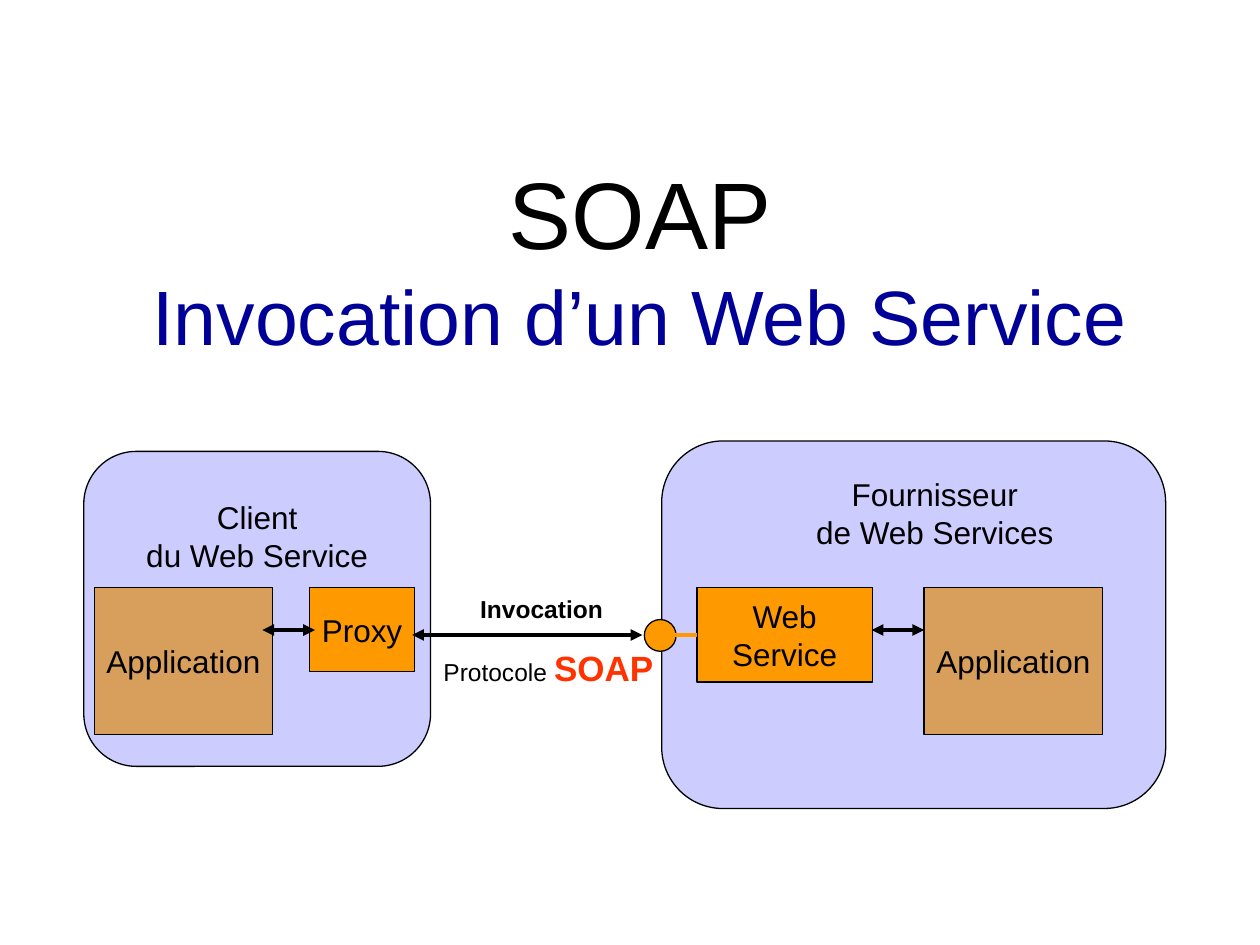
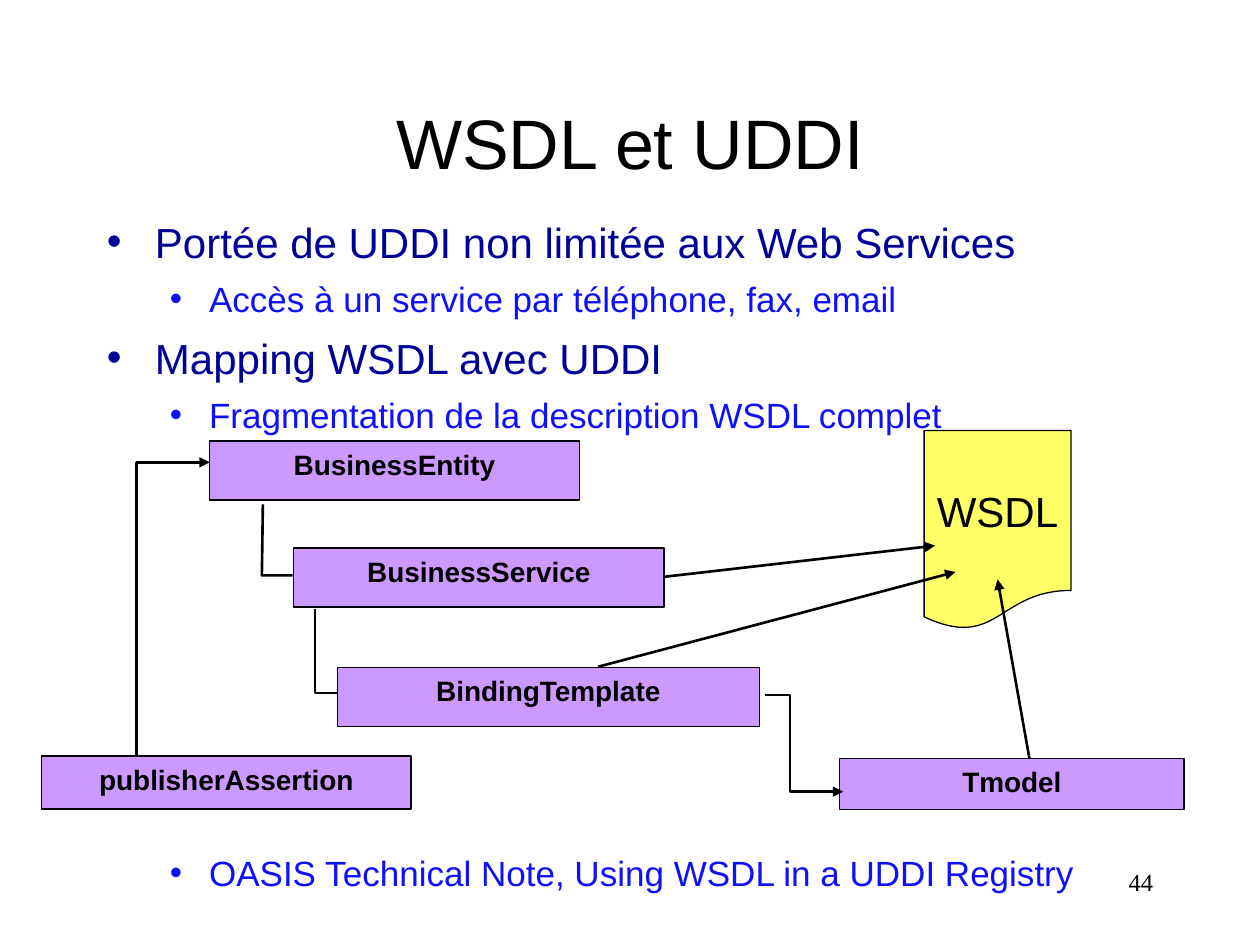
from lxml import etree
from pptx import Presentation
from pptx.dml.color import RGBColor
from pptx.enum.shapes import MSO_CONNECTOR, MSO_SHAPE
from pptx.enum.text import MSO_ANCHOR, MSO_AUTO_SIZE, PP_ALIGN
from pptx.oxml.ns import qn
from pptx.util import Cm, Pt

RECT, ROUND, OVAL = MSO_SHAPE.RECTANGLE, MSO_SHAPE.ROUNDED_RECTANGLE, MSO_SHAPE.OVAL
PAGE = MSO_SHAPE.FLOWCHART_DOCUMENT
STRAIGHT = MSO_CONNECTOR.STRAIGHT
TOP, MIDDLE = MSO_ANCHOR.TOP, MSO_ANCHOR.MIDDLE
LEFT, CENTER, RIGHT = PP_ALIGN.LEFT, PP_ALIGN.CENTER, PP_ALIGN.RIGHT
FIXED = MSO_AUTO_SIZE.NONE

BLACK = RGBColor(0x00, 0x00, 0x00)
NAVY = RGBColor(0x00, 0x00, 0x99)
BLUE = RGBColor(0x0F, 0x0F, 0xFF)
RED = RGBColor(0xFF, 0x33, 0x00)
LILAC = RGBColor(0xCC, 0xCC, 0xFF)
PURPLE = RGBColor(0xCC, 0x99, 0xFF)
ORANGE = RGBColor(0xFF, 0x99, 0x00)
TAN = RGBColor(0xD7, 0x9F, 0x5B)
YELLOW = RGBColor(0xFF, 0xFF, 0x66)


def box(item, place, rows, fill=None, align=CENTER, face="Arial", **look):
    for name, size in zip(("left", "top", "width", "height"), place):
        setattr(item, name, Cm(size))
    if fill is not None:
        item.shadow.inherit = False
        item.fill.solid()
        item.fill.fore_color.rgb = fill
        item.line.color.rgb = BLACK
        item.line.width = Pt(0.75)
    frame = item.text_frame
    base = {"auto_size": FIXED, "word_wrap": True, "vertical_anchor": MIDDLE}
    for name, value in (base | look).items():
        setattr(frame, name, value)
    for i, row in enumerate(rows):
        para = frame.add_paragraph() if i else frame.paragraphs[0]
        para.alignment = align
        for text, size, color, bold in row:
            run = para.add_run()
            run.text = text
            run.font.color.rgb = color
            for name, value in {"name": face, "size": Pt(size), "bold": bold}.items():
                setattr(run.font, name, value)


def draw(shapes, points, width, ends=(), color=BLACK):
    spots = [(Cm(x), Cm(y)) for x, y in points]
    if len(spots) == 2:
        item = shapes.add_connector(STRAIGHT, *spots[0], *spots[1])
    else:
        form = shapes.build_freeform(*spots[0])
        form.add_line_segments(spots[1:], close=False)
        item = form.convert_to_shape()
        item.fill.background()
    item.line.color.rgb = color
    item.line.width = Pt(width)
    props = item._element.spPr
    for end in ends:
        etree.SubElement(props.find(qn("a:ln")), qn("a:" + end), type="triangle")
    etree.SubElement(props, qn("a:effectLst"))


BOTH, TAIL = ("headEnd", "tailEnd"), ("tailEnd",)

deck = Presentation()
deck.slide_width, deck.slide_height = Cm(25.4), Cm(19.05)

slide = deck.slides.add_slide(deck.slide_layouts[5])
shapes = slide.shapes
box(shapes.title, (2.11, 3.61, 21.59, 3.18),
    [[("SOAP", 54, BLACK, False)], [("Invocation d’un Web Service", 44, NAVY, False)]])

zones = [
    ((1.69, 9.1, 6.99, 6.35), ("Client", "du Web Service"), 0.64, 0.25),
    ((13.34, 8.89, 10.16, 7.41), ("Fournisseur", "de Web Services"), 0.33, 1.1),
]
for place, words, top, left in zones:
    box(shapes.add_shape(ROUND, 0, 0, 0, 0), place,
        [[(word, 18, BLACK, False)] for word in words], LILAC,
        vertical_anchor=TOP, margin_top=Cm(top), margin_left=Cm(left))

parts = [
    ((6.24, 2.12, 1.69), ("Proxy",), ORANGE),
    ((1.9, 3.6, 2.96), ("Application",), TAN),
    ((14.05, 3.54, 1.9), ("Web", "Service"), ORANGE),
    ((18.63, 3.6, 2.96), ("Application",), TAN),
]
for (x, wide, high), words, fill in parts:
    box(shapes.add_shape(RECT, 0, 0, 0, 0), (x, 11.85, wide, high),
        [[(word, 18, BLACK, False)] for word in words], fill, word_wrap=False)

box(shapes.add_shape(OVAL, 0, 0, 0, 0), (12.99, 12.49, 0.64, 0.64), [], ORANGE)
draw(shapes, [(13.61, 12.8), (14.05, 12.8)], 2.25, color=ORANGE)
for start, stop, y in [(8.31, 12.95, 12.8), (17.57, 18.63, 12.7), (5.29, 6.35, 12.7)]:
    draw(shapes, [(start, y), (stop, y)], 2.25, BOTH)

labels = [
    ((9.43, 11.85, 3.1, 0.86), [("Invocation", 14, BLACK, True)]),
    ((8.69, 12.9, 4.8, 1.12), [("Protocole ", 14, BLACK, False), ("SOAP", 20, RED, True)]),
]
for place, row in labels:
    box(shapes.add_textbox(0, 0, 0, 0), place, [row], align=LEFT, vertical_anchor=TOP)

slide = deck.slides.add_slide(deck.slide_layouts[1])
shapes = slide.shapes
box(shapes.title, (1.9, 1.27, 21.6, 3.18), [[("WSDL et UDDI", 40, BLACK, False)]])

points = [
    (0, "Portée de UDDI non limitée aux Web Services", 0),
    (1, "Accès à un service par téléphone, fax, email", 6.2),
    (0, "Mapping WSDL avec UDDI", 7.2),
    (1, "Fragmentation de la description WSDL complet", 6.2),
    (1, "OASIS Technical Note, Using WSDL in a UDDI Registry", 237.6),
]
styles = [(24, NAVY, 0.97, 0.97), (20, BLUE, 2.06, 0.79)]
body = slide.placeholders[1]
box(body, (1.9, 4.23, 21.6, 14.18),
    [[(text, *styles[level][:2], False)] for level, text, gap in points],
    align=LEFT, vertical_anchor=TOP)
for para, (level, text, gap) in zip(body.text_frame.paragraphs, points):
    size, color, left, hang = styles[level]
    para.level = level
    props = para._p.get_or_add_pPr()
    props.set("marL", str(Cm(left)))
    props.set("indent", str(-Cm(hang)))
    tint = etree.SubElement(props, qn("a:buClr"))
    etree.SubElement(tint, qn("a:srgbClr"), val=str(color))
    etree.SubElement(props, qn("a:buFont"), typeface="Arial")
    etree.SubElement(props, qn("a:buChar"), char="•")
    para.space_before = Pt(gap)

nodes = [
    ("BusinessEntity", 4.23, 8.89, 7.45, 1.19),
    ("BusinessService", 5.92, 11.05, 7.47, 1.19),
    ("BindingTemplate", 6.8, 13.46, 8.51, 1.19),
    ("Tmodel", 16.93, 15.29, 6.94, 1.03),
    ("publisherAssertion", 0.84, 15.24, 7.45, 1.07),
]
for name, *place in nodes:
    box(shapes.add_shape(RECT, 0, 0, 0, 0), place, [[(name, 16, BLACK, True)]],
        PURPLE, vertical_anchor=TOP)
box(shapes.add_shape(PAGE, 0, 0, 0, 0), (18.63, 8.68, 2.96, 4.02),
    [[("WSDL", 24, BLACK, False)]], YELLOW, word_wrap=False)

links = [
    ([(2.75, 15.24), (2.75, 9.31)], ()),
    ([(2.75, 9.32), (4.23, 9.32)], TAIL),
    ([(5.3, 10.17), (5.28, 11.6), (5.9, 11.6)], ()),
    ([(6.35, 12.27), (6.35, 13.97), (6.8, 13.97)], ()),
    ([(15.42, 14.01), (15.93, 14.01), (15.93, 15.96), (17, 15.96)], TAIL),
    ([(13.37, 11.63), (18.85, 11)], TAIL),
    ([(20.75, 15.28), (20.11, 11.68)], TAIL),
    ([(12.06, 13.44), (19.26, 11.53)], TAIL),
]
for route, ends in links:
    draw(shapes, route, 1.5, ends)

box(shapes.add_textbox(0, 0, 0, 0), (18.2, 17.36, 5.3, 1.27),
    [[("44", 14, BLACK, False)]], align=RIGHT, face="Times New Roman", vertical_anchor=TOP)

deck.save("out.pptx")
